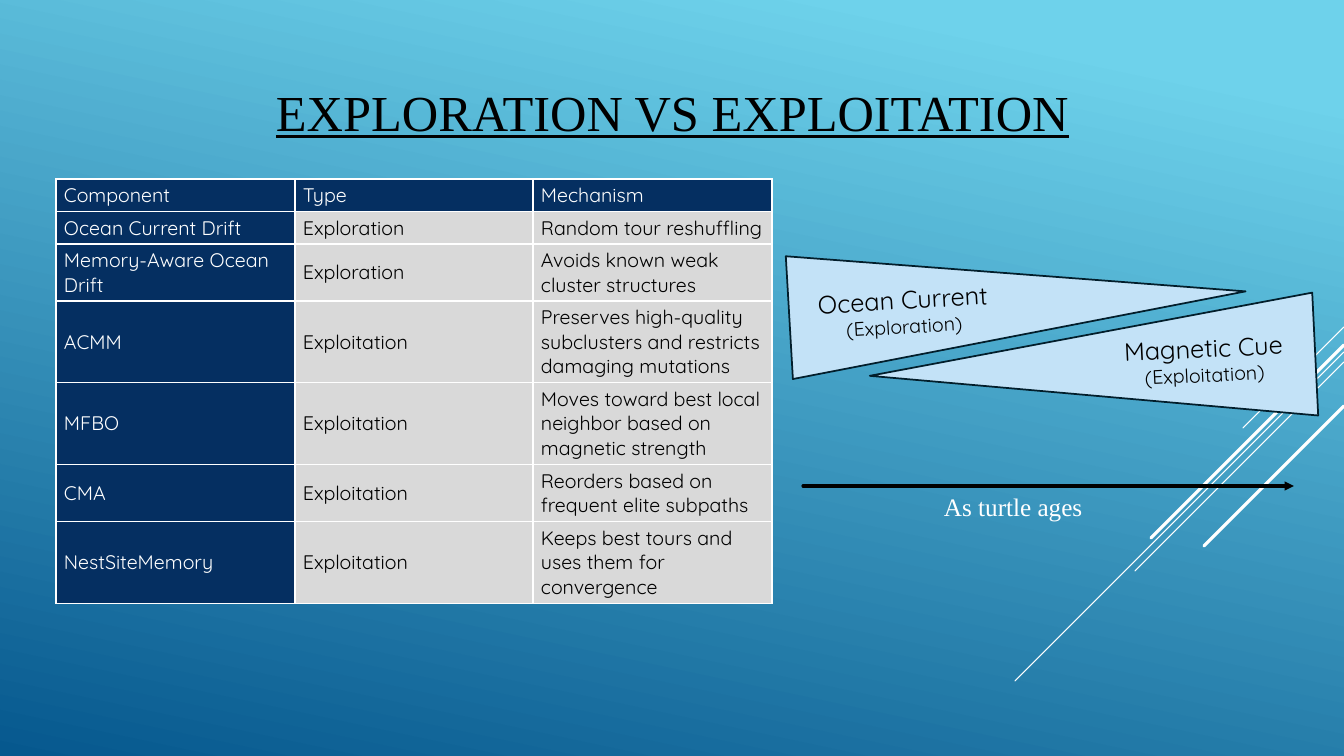
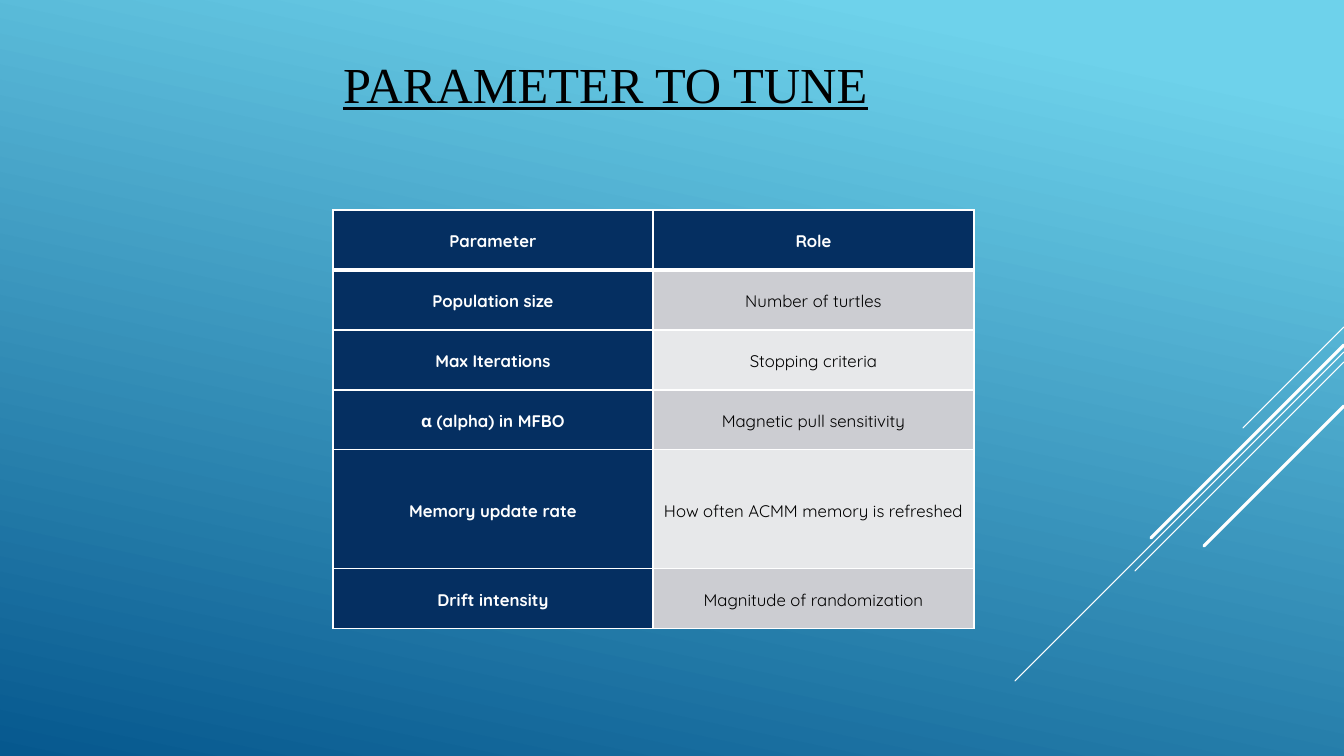
from lxml.etree import SubElement
from pptx import Presentation
from pptx.dml.color import RGBColor
from pptx.enum.shapes import MSO_CONNECTOR, MSO_SHAPE
from pptx.enum.text import MSO_ANCHOR, MSO_AUTO_SIZE, PP_ALIGN
from pptx.oxml import parse_xml
from pptx.oxml.ns import nsdecls, qn
from pptx.util import Emu, Pt

WIDE, HIGH = 1344, 756
SCALE = 12192000 / WIDE
INK = {
    "sky": "6ED2EB",
    "sea": "06588E",
    "navy": "052F61",
    "white": "FFFFFF",
    "black": "000000",
    "grey": "D9D9D9",
    "mid": "CCCDD2",
    "light": "E7E8EA",
    "pale": "C3E2F7",
    "edge": "021E2B",
}
SERIF, SANS = "Times New Roman", "Quicksand"
LEFT, CENTER = PP_ALIGN.LEFT, PP_ALIGN.CENTER
RAYS = [(327, 101, 0.75), (352, 329, 0.75), (362, 209, 0.75),
        (345, 193, 2.25), (406, 140, 2.25)]


def px(*nums):
    return [Emu(round(num * SCALE)) for num in nums]


def tint(key):
    return RGBColor.from_string(INK[key])


def write(frame, text, sizes=(14,), font=SANS, ink="black", bold=False,
          line=False, align=LEFT, lead=None, after=None):
    frame.text = text
    for para, size in zip(frame.paragraphs, sizes):
        para.alignment = align
        if lead:
            para.line_spacing = lead
        if after:
            para.space_after = Pt(after)
        for run in para.runs:
            face = run.font
            face.name, face.size = font, Pt(size)
            face.bold, face.underline = bold, line
            face.color.rgb = tint(ink)


class Deck:
    def __init__(self):
        self.show = Presentation()
        self.show.slide_width, self.show.slide_height = px(WIDE, HIGH)
        fill = self.show.slide_master.background.fill
        fill.gradient()
        fill.gradient_angle = 258
        for stop, place, key in zip(fill.gradient_stops, (0.1, 1), ("sky", "sea")):
            stop.position = place
            stop.color.rgb = tint(key)

    def start(self, title, box, align):
        self.slide = self.show.slides.add_slide(self.show.slide_layouts[5])
        for top, span, width in RAYS:
            self.line(WIDE, top, WIDE - span, top + span, "white", width)
        head = self.slide.shapes.title
        head.left, head.top, head.width, head.height = px(*box)
        frame = head.text_frame
        frame.auto_size = MSO_AUTO_SIZE.NONE
        frame.vertical_anchor = MSO_ANCHOR.MIDDLE
        write(frame, title, sizes=(36,), font=SERIF, line=True, align=align)

    def line(self, left, top, right, base, key, width, arrow=False):
        rule = self.slide.shapes.add_connector(
            MSO_CONNECTOR.STRAIGHT, *px(left, top, right, base))
        rule.line.color.rgb = tint(key)
        rule.line.width = Pt(width)
        props = rule._element.spPr
        stroke = props.find(qn("a:ln"))
        stroke.set("cap", "rnd")
        if arrow:
            SubElement(stroke, qn("a:tailEnd"), type="triangle")
        SubElement(props, qn("a:effectLst"))

    def label(self, text, box, **style):
        frame = self.slide.shapes.add_textbox(*px(*box)).text_frame
        frame.word_wrap = False
        write(frame, text, **style)

    def wedge(self, text, box, turn, flow):
        shape = self.slide.shapes.add_shape(MSO_SHAPE.FLOWCHART_MERGE, *px(*box))
        shape.rotation = turn
        shape.shadow.inherit = False
        shape.fill.solid()
        shape.fill.fore_color.rgb = tint("pale")
        shape.line.color.rgb = tint("edge")
        shape.line.width = Pt(1.25)
        frame = shape.text_frame
        frame.vertical_anchor = MSO_ANCHOR.MIDDLE
        frame._txBody.bodyPr.set("vert", flow)
        write(frame, text, sizes=(18, 14), align=CENTER)

    def table(self, rows, spot, cols, highs, fills, pads, rule=1, strong=False, **style):
        grid = self.slide.shapes.add_table(
            len(rows), len(cols), *px(*spot, sum(cols), sum(highs))).table
        for col, width in zip(grid.columns, px(*cols)):
            col.width = width
        for row, high in zip(grid.rows, px(*highs)):
            row.height = high
        for down, row in enumerate(rows):
            for across, text in enumerate(row):
                cell = grid.cell(down, across)
                head = down == 0 or across == 0
                key = "navy" if head else fills[down % len(fills)]
                cell.fill.solid()
                cell.fill.fore_color.rgb = tint(key)
                cell.vertical_anchor = MSO_ANCHOR.MIDDLE
                cell.margin_left = cell.margin_right = px(pads[0])[0]
                cell.margin_top = cell.margin_bottom = px(pads[1])[0]
                top = rule if down == 1 else 1
                base = rule if down == 0 else 1
                self.frame(cell, {"L": 1, "R": 1, "T": top, "B": base})
                write(cell.text_frame, text, ink="white" if head else "black",
                      bold=head and strong, **style)

    def frame(self, cell, sides):
        props = cell._tc.get_or_add_tcPr()
        for spot, (side, width) in enumerate(sides.items()):
            props.insert(spot, parse_xml(
                f'<a:ln{side} {nsdecls("a")} w="{Pt(width)}"><a:solidFill>'
                f'<a:srgbClr val="{INK["white"]}"/></a:solidFill></a:ln{side}>'))


def main():
    deck = Deck()
    deck.start("EXPLORATION VS EXPLOITATION", (202, 28, 941, 166), CENTER)
    deck.table([
        ("Component", "Type", "Mechanism"),
        ("Ocean Current Drift", "Exploration", "Random tour reshuffling"),
        ("Memory-Aware Ocean Drift", "Exploration",
         "Avoids known weak cluster structures"),
        ("ACMM", "Exploitation",
         "Preserves high-quality subclusters and restricts damaging mutations"),
        ("MFBO", "Exploitation",
         "Moves toward best local neighbor based on magnetic strength"),
        ("CMA", "Exploitation", "Reorders based on frequent elite subpaths"),
        ("NestSiteMemory", "Exploitation",
         "Keeps best tours and uses them for convergence"),
    ], (56, 179), (239, 238, 239), (31, 32, 57, 81, 82, 56, 82), ["grey"], (8, 4))
    deck.wedge("Ocean Current\n(Exploration)", (956, 76, 123, 457), 266.7, "vert")
    deck.wedge("Magnetic Cue\n(Exploitation)", (1031, 142, 123, 446), 87.2, "vert270")
    deck.line(803, 486, 1294, 486, "black", 2.25, arrow=True)
    deck.label("As turtle ages", (934, 486, 166, 40), sizes=(18,), font=SERIF, ink="white")

    deck.start("PARAMETER TO TUNE", (333, 0, 941, 166), LEFT)
    deck.table([
        ("Parameter", "Role"),
        ("Population size", "Number of turtles"),
        ("Max Iterations", "Stopping criteria"),
        ("α (alpha) in MFBO", "Magnetic pull sensitivity"),
        ("Memory update rate", "How often ACMM memory is refreshed"),
        ("Drift intensity", "Magnitude of randomization"),
    ], (333, 210), (320, 321), (60, 60, 60, 60, 119, 60), ["light", "mid"], (1, 1),
        rule=3, strong=True, sizes=(12,), align=CENTER, lead=1.15, after=8)
    deck.show.save("out.pptx")


if __name__ == "__main__":
    main()
